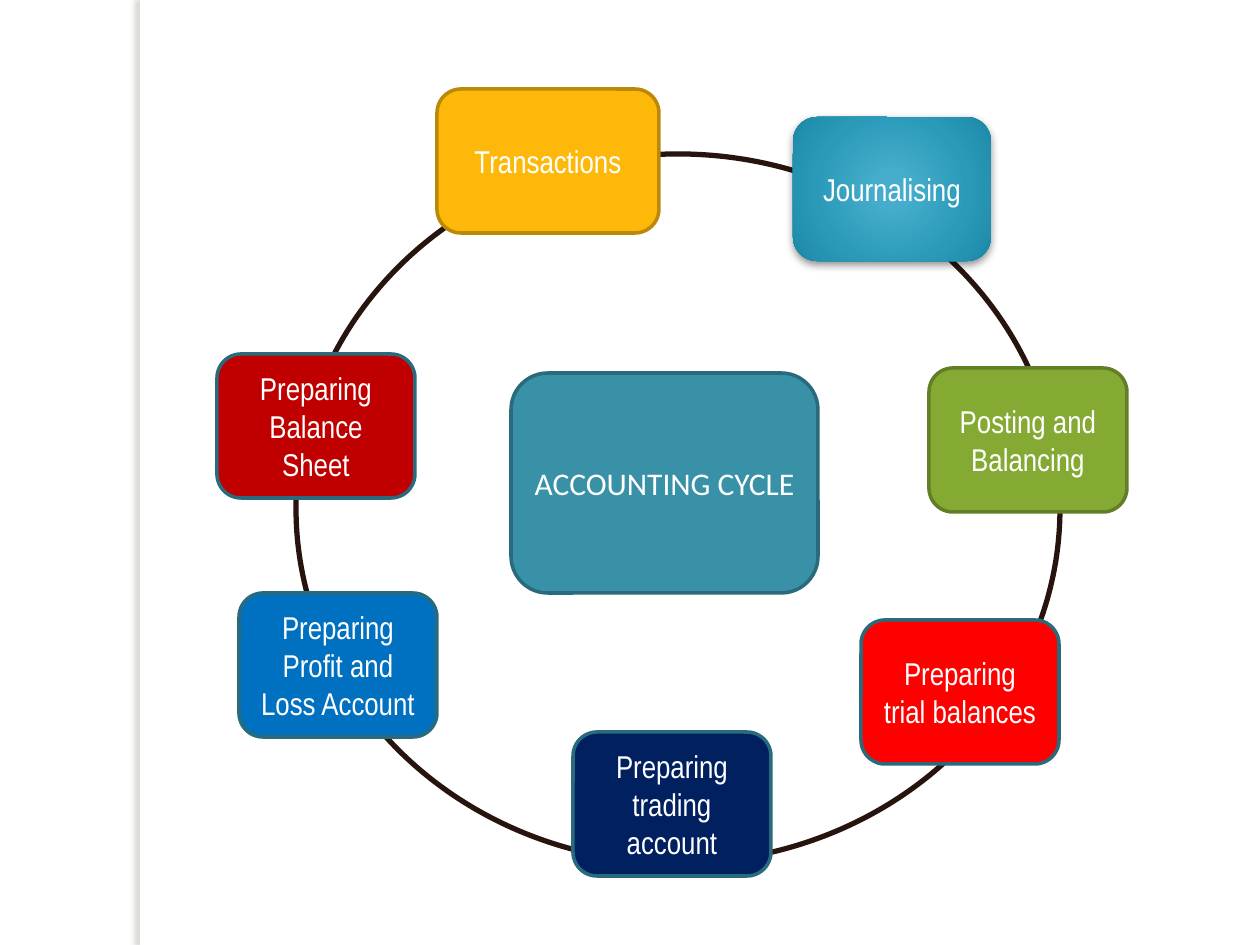
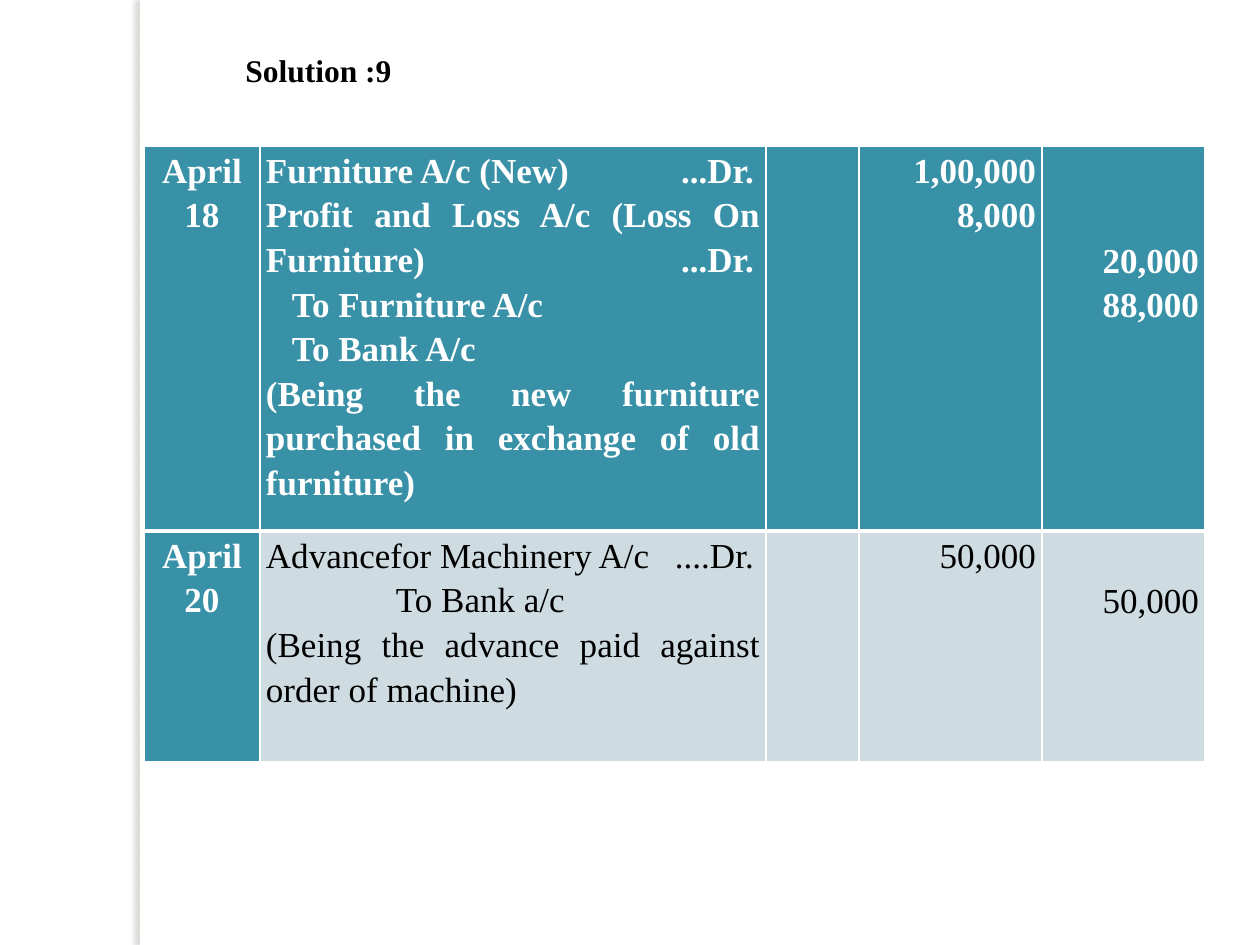
from dataclasses import dataclass

from pptx import Presentation
from pptx.dml.color import RGBColor
from pptx.enum.shapes import MSO_SHAPE
from pptx.enum.text import MSO_ANCHOR, PP_ALIGN
from pptx.oxml import parse_xml
from pptx.oxml.ns import nsdecls, qn
from pptx.util import Emu, Pt

EMU_PER_PIXEL = 914400 / 126


@dataclass(frozen=True)
class Theme:
    white: str = "FFFFFF"
    black: str = "000000"
    teal: str = "3891A7"
    teal_edge: str = "296B7C"
    pale_teal: str = "CEDCE1"
    amber: str = "FEB80A"
    amber_edge: str = "BC8807"
    green: str = "84AA33"
    green_edge: str = "627E26"
    red: str = "FF0000"
    navy: str = "002060"
    dark_red: str = "C00000"
    blue: str = "0070C0"
    ring: str = "28140E"
    band_shadow: str = "736F63"
    glow: tuple = ((0, "45ACCC"), (15, "45ACCB"), (62, "2B9AB9"),
                   (97, "1C8AA7"), (100, "0E89A7"))
    node_font: str = "Arial Narrow"
    hub_font: str = "Calibri"
    journal_font: str = "Times New Roman"
    label_size: int = 18
    journal_size: int = 20


THEME = Theme()

NODE_WIDTH, NODE_HEIGHT = 198, 144
# text, left, top, width, fill, edge
CYCLE_NODES = [
    ("Transactions", 437, 89, 222, THEME.amber, THEME.amber_edge),
    ("Preparing trial balances", 861, 620, NODE_WIDTH, THEME.red, THEME.teal_edge),
    ("Preparing trading account", 573, 732, NODE_WIDTH, THEME.navy, THEME.teal_edge),
    ("Preparing Balance Sheet", 217, 354, NODE_WIDTH, THEME.dark_red, THEME.teal_edge),
    ("Preparing Profit and Loss Account", 239, 593, NODE_WIDTH, THEME.blue, THEME.teal_edge),
    ("Posting and Balancing", 929, 368, NODE_WIDTH, THEME.green, THEME.green_edge),
    ("Journalising", 793, 117, NODE_WIDTH, THEME.glow, None),
]

COLUMN_WIDTHS = [116, 506, 93, 183, 163]
ROW_HEIGHTS = [385, 231]
CELL_INSET = 6
LINE_HEIGHT = 45
DEBIT_TAB = 488
# date; particulars as (text, indent, alignment);
# debits; credits and the number of lines they start below the top
LEFT, JUSTIFY = PP_ALIGN.LEFT, PP_ALIGN.JUSTIFY
JOURNAL = [
    ("April 18",
     [("Furniture A/c (New)\t...Dr.", 0, LEFT),
      ("Profit and Loss A/c (Loss On Furniture)\t...Dr.", 0, JUSTIFY),
      ("To Furniture A/c", 26, JUSTIFY),
      ("To Bank A/c", 26, JUSTIFY),
      ("(Being the new furniture purchased in exchange of old furniture)", 0, JUSTIFY)],
     ["1,00,000", "8,000"], ["20,000", "88,000"], 2),
    ("April 20",
     [("Advancefor Machinery A/c\t....Dr.", 0, JUSTIFY),
      ("To Bank a/c", 130, JUSTIFY),
      ("(Being the advance paid against order of machine)", 0, JUSTIFY)],
     ["50,000"], ["50,000"], 1),
]


def px(pixels):
    return Emu(round(pixels * EMU_PER_PIXEL))


def color(value):
    return RGBColor.from_string(value)


def write(paragraph, text, *, font, size, ink, bold=False, align=LEFT,
          line_spacing=None, indent=0, tab=None):
    """Fill one paragraph; indent and right-aligned tab are in px."""
    properties = paragraph._p.get_or_add_pPr()
    if indent:
        properties.set("marL", str(px(indent)))
        properties.set("indent", "0")
    if tab:
        properties.append(parse_xml(
            f'<a:tabLst {nsdecls("a")}><a:tab pos="{px(tab)}" algn="r"/></a:tabLst>'))
    paragraph.alignment = align
    if line_spacing:
        paragraph.line_spacing = line_spacing
    run = paragraph.add_run()
    run.text = text
    run.font.name = font
    run.font.size = Pt(size)
    run.font.bold = bold
    run.font.color.rgb = color(ink)


def add_shadow(shape, ink, opacity, blur, distance, angle):
    shape._element.spPr.find(qn("a:effectLst")).append(parse_xml(
        f'<a:outerShdw {nsdecls("a")} blurRad="{Pt(blur)}" dist="{Pt(distance)}" '
        f'dir="{angle * 60000}" algn="ctr" rotWithShape="0"><a:srgbClr val="{ink}">'
        f'<a:alpha val="{opacity * 1000}"/></a:srgbClr></a:outerShdw>'))


def fill_radial(shape, stops):
    shape.fill.solid()
    stop_xml = "".join(f'<a:gs pos="{position * 1000}"><a:srgbClr val="{ink}"/></a:gs>'
                       for position, ink in stops)
    gradient = parse_xml(
        f'<a:gradFill {nsdecls("a")} rotWithShape="1"><a:gsLst>{stop_xml}</a:gsLst>'
        '<a:path path="circle"><a:fillToRect l="50000" t="50000" r="50000" b="50000"/>'
        '</a:path></a:gradFill>')
    properties = shape._element.spPr
    properties.replace(properties.find(qn("a:solidFill")), gradient)


def add_shape(slide, kind, left, top, width, height, fill=None, edge=None, edge_width=2):
    """Add a preset shape; fill is a colour, a tuple of gradient stops or None."""
    shape = slide.shapes.add_shape(kind, px(left), px(top), px(width), px(height))
    shape.shadow.inherit = False
    if fill is None:
        shape.fill.background()
    elif isinstance(fill, tuple):
        fill_radial(shape, fill)
    else:
        shape.fill.solid()
        shape.fill.fore_color.rgb = color(fill)
    if edge:
        shape.line.color.rgb = color(edge)
        shape.line.width = Pt(edge_width)
    else:
        shape.line.fill.background()
    return shape


def add_label_box(slide, text, left, top, width, height, fill, edge, font=THEME.node_font):
    box = add_shape(slide, MSO_SHAPE.ROUNDED_RECTANGLE, left, top, width, height, fill, edge)
    frame = box.text_frame
    frame.word_wrap = True
    frame.vertical_anchor = MSO_ANCHOR.MIDDLE
    write(frame.paragraphs[0], text, font=font, size=THEME.label_size,
          ink=THEME.white, align=PP_ALIGN.CENTER)
    return box


def add_slide(presentation):
    """Add a blank slide with the shaded band edge at the left."""
    slide = presentation.slides.add_slide(presentation.slide_layouts[6])
    band = add_shape(slide, MSO_SHAPE.RECTANGLE, 140, 0, 10, 945, THEME.white)
    add_shadow(band, THEME.band_shadow, 25, 3, 3, 180)
    return slide


def set_borders(cell, top, bottom):
    properties = cell._tc.get_or_add_tcPr()
    for side, width in (("L", 1), ("R", 1), ("T", top), ("B", bottom)):
        properties.append(parse_xml(
            f'<a:ln{side} {nsdecls("a")} w="{Pt(width)}"><a:solidFill>'
            f'<a:srgbClr val="{THEME.white}"/></a:solidFill></a:ln{side}>'))


def fill_cell(cell, lines, fill, ink, bold, skipped_lines=0):
    """Write (text, indent, alignment) lines, starting below skipped_lines."""
    cell.margin_left = cell.margin_right = px(CELL_INSET)
    cell.margin_top = px(skipped_lines * LINE_HEIGHT)
    cell.margin_bottom = 0
    cell.fill.solid()
    cell.fill.fore_color.rgb = color(fill)
    frame = cell.text_frame
    for index, (text, indent, align) in enumerate(lines):
        paragraph = frame.add_paragraph() if index else frame.paragraphs[0]
        write(paragraph, text, font=THEME.journal_font, size=THEME.journal_size,
              ink=ink, bold=bold, align=align, line_spacing=1.15, indent=indent,
              tab=DEBIT_TAB if "\t" in text else None)


def add_journal(slide, left, top):
    table = slide.shapes.add_table(
        len(JOURNAL), len(COLUMN_WIDTHS), px(left), px(top),
        px(sum(COLUMN_WIDTHS)), px(sum(ROW_HEIGHTS))).table
    table.first_row = table.horz_banding = False
    for column, width in zip(table.columns, COLUMN_WIDTHS):
        column.width = px(width)
    for index, (date, particulars, debits, credits, credit_start) in enumerate(JOURNAL):
        table.rows[index].height = px(ROW_HEIGHTS[index])
        is_head = index == 0
        contents = [
            [(date, 0, PP_ALIGN.CENTER)],
            particulars,
            [],
            [(amount, 0, PP_ALIGN.RIGHT) for amount in debits],
            [(amount, 0, PP_ALIGN.RIGHT) for amount in credits],
        ]
        for column_index, lines in enumerate(contents):
            cell = table.cell(index, column_index)
            strong = is_head or column_index == 0
            set_borders(cell, top=1 if is_head else 3, bottom=3 if is_head else 1)
            fill_cell(cell, lines,
                      fill=THEME.teal if strong else THEME.pale_teal,
                      ink=THEME.white if strong else THEME.black, bold=strong,
                      skipped_lines=credit_start if column_index == 4 else 0)


def build_cycle_slide(presentation):
    slide = add_slide(presentation)
    add_shape(slide, MSO_SHAPE.OVAL, 296, 154, 764, 709, edge=THEME.ring, edge_width=3)
    for text, left, top, width, fill, edge in CYCLE_NODES:
        node = add_label_box(slide, text, left, top, width, NODE_HEIGHT, fill, edge)
        if edge is None:
            add_shadow(node, THEME.black, 43, 5, 2, 90)
    add_label_box(slide, "ACCOUNTING CYCLE", 511, 373, 307, 220,
                  THEME.teal, THEME.teal_edge, font=THEME.hub_font)


def build_solution_slide(presentation):
    slide = add_slide(presentation)
    add_journal(slide, 144, 146)
    title = slide.shapes.add_textbox(px(233), px(45), px(198), px(50))
    title.text_frame.word_wrap = True
    write(title.text_frame.paragraphs[0], "Solution :9", font=THEME.journal_font,
          size=THEME.label_size, ink=THEME.black, bold=True)


def main():
    presentation = Presentation()
    presentation.slide_width = px(1260)
    presentation.slide_height = px(945)
    build_cycle_slide(presentation)
    build_solution_slide(presentation)
    presentation.save("out.pptx")


if __name__ == "__main__":
    main()
